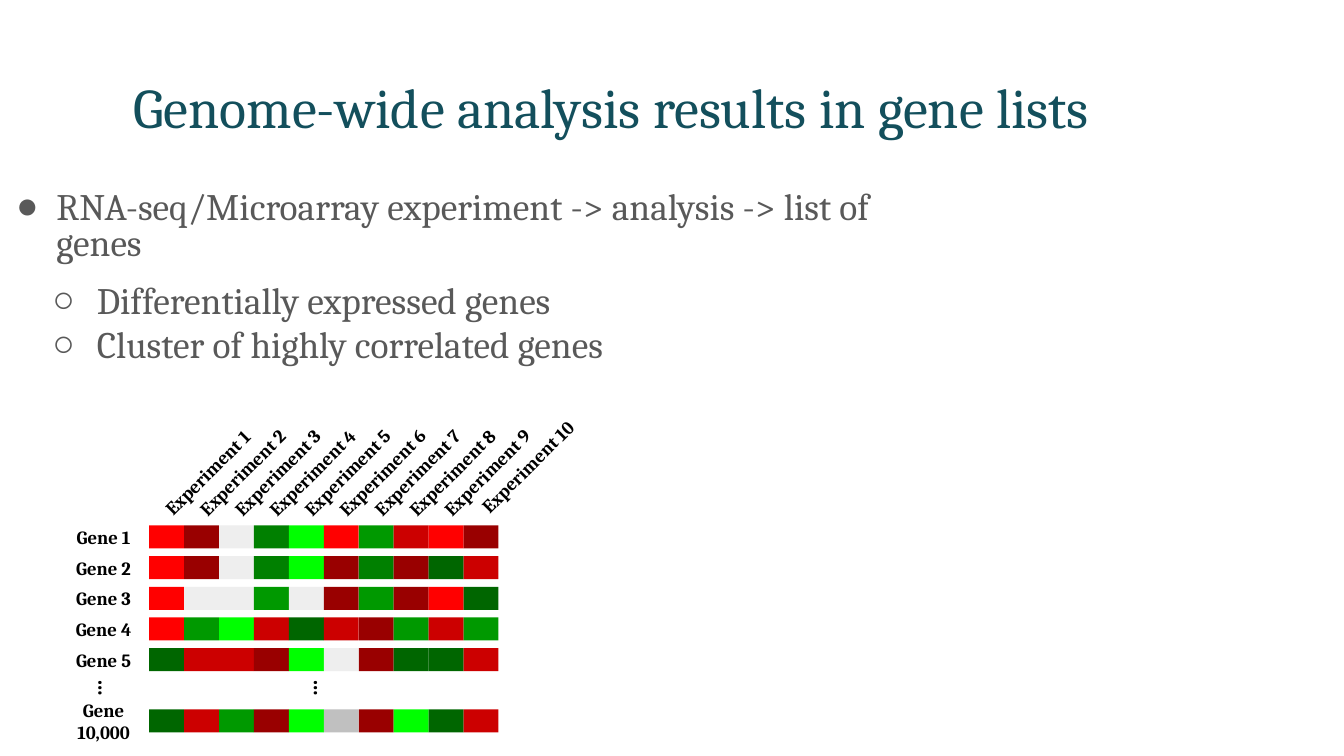
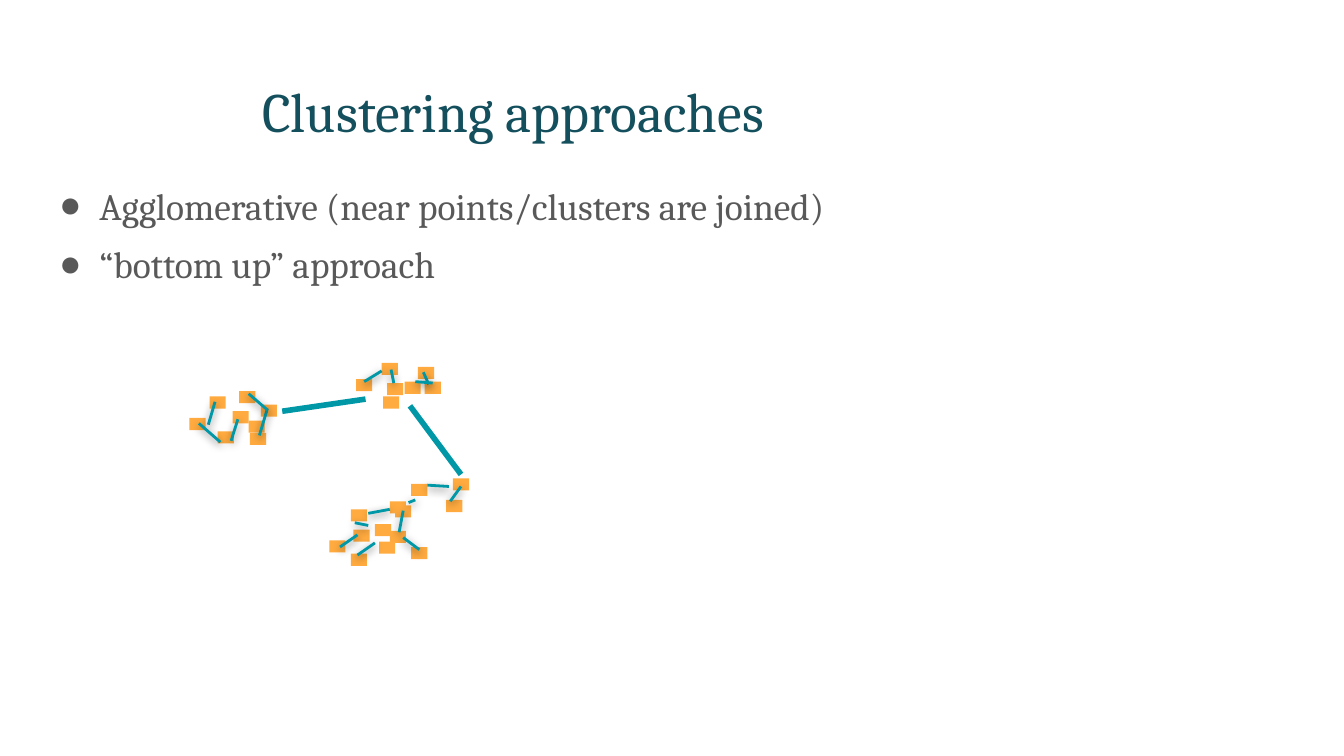
from dataclasses import dataclass
from math import cos, radians, sin

from lxml import etree
from pptx import Presentation
from pptx.dml.color import RGBColor
from pptx.enum.shapes import MSO_CONNECTOR, MSO_SHAPE
from pptx.enum.text import MSO_ANCHOR, MSO_AUTO_SIZE, PP_ALIGN
from pptx.oxml.ns import qn
from pptx.util import Emu, Inches, Pt

RECTANGLE = MSO_SHAPE.RECTANGLE
STRAIGHT = MSO_CONNECTOR.STRAIGHT
TOP, MIDDLE, BOTTOM = MSO_ANCHOR.TOP, MSO_ANCHOR.MIDDLE, MSO_ANCHOR.BOTTOM
LEFT, CENTER = PP_ALIGN.LEFT, PP_ALIGN.CENTER
NO_FIT = MSO_AUTO_SIZE.NONE

SLIDE_WIDTH = Inches(10)
SLIDE_HEIGHT = Emu(SLIDE_WIDTH * 9 // 16)
UNIT = SLIDE_WIDTH / 100  # one column or row of the slide grid
TITLE_AND_CONTENT = 1


@dataclass(frozen=True)
class Theme:
    font: str = "Cambria"
    title: str = "134F5C"
    body: str = "595959"
    label: str = "000000"
    point: str = "FFAB40"
    link: str = "0097A7"
    body_size: float = 20
    label_size: float = 10
    dots_size: float = 12
    thin: float = 1.5
    thick: float = 3


THEME = Theme()

# Expression levels: reds are up, greens are down
LEVELS = {
    "R": "FF0000", "C": "CC0000", "D": "990000",
    "L": "00FF00", "M": "009900", "N": "008000", "K": "006600",
    "E": "EEEEEE", "S": "C0C0C0",
}

# Grid row, gene and its level in each experiment
EXPRESSION = [
    (0, "Gene 1", "RDENLRMCRD"),
    (1, "Gene 2", "RDENLDNDKC"),
    (2, "Gene 3", "REEMEDMDRK"),
    (3, "Gene 4", "RMLCKCDMCM"),
    (4, "Gene 5", "KCCDLEDKKC"),
    (6, "Gene 10,000", "KCMDLSDLKC"),
]

# Corners of the points and ends of the links, in cells of the cluster grid
CLUSTER_GRID = (208, 151)
POINT_CELLS = (12, 9)
POINTS = [
    (15, 25), (37, 21), (32, 36), (0, 41), (21, 51), (53, 31), (45, 52), (44, 43),
    (124, 12), (144, 25), (147, 15), (143, 0), (160, 14), (175, 14), (170, 3),
    (120, 142), (104, 132), (122, 124), (141, 133), (120, 109), (138, 120),
    (153, 106), (196, 86), (149, 103), (165, 90), (149, 125), (191, 102), (165, 137),
]
NEAR_LINKS = [
    (19, 29, 14, 46), (7, 45, 23, 59), (36, 42, 31, 58), (52, 54, 58, 34),
    (44, 23, 58, 35), (143, 6, 130, 14), (150, 5, 152, 15), (174, 7, 178, 16),
    (181, 15, 168, 14), (168, 102, 163, 104), (193, 92, 177, 91),
    (202, 92, 194, 103), (133, 112, 149, 109), (156, 126, 159, 110),
    (171, 139, 159, 130), (133, 121, 123, 119), (138, 134, 125, 143),
    (125, 128, 112, 137),
]
CLUSTER_LINKS = [(131, 27, 69, 36), (164, 32, 202, 83)]


@dataclass(frozen=True)
class Box:
    left: float
    top: float
    width: float
    height: float

    def emu(self):
        return [Emu(round(v)) for v in (self.left, self.top, self.width, self.height)]


def grid_box(*units):
    return Box(*(unit * UNIT for unit in units))


def centred_box(x, y, width, height):
    return Box(x - width / 2, y - height / 2, width, height)


def apply(target, formats):
    for name, value in formats.items():
        setattr(target, name, value)


def style_run(run, size, color, bold=False):
    apply(run.font, {"name": THEME.font, "size": Pt(size), "bold": bold})
    run.font.color.rgb = RGBColor.from_string(color)


def place(placeholder, box):
    apply(placeholder, dict(zip(("left", "top", "width", "height"), box.emu())))


# Title and bullet list

def fill_title(slide, box, text, size):
    title = slide.shapes.title
    place(title, box)
    apply(title.text_frame, {"vertical_anchor": BOTTOM, "auto_size": NO_FIT,
                             "word_wrap": True})
    paragraph = title.text_frame.paragraphs[0]
    paragraph.alignment = CENTER
    run = paragraph.add_run()
    run.text = text
    style_run(run, size, THEME.title)


def set_bullet(paragraph, mark, margin, hanging):
    properties = paragraph._p.get_or_add_pPr()
    properties.set("marL", str(Inches(margin)))
    properties.set("indent", str(-Inches(hanging)))
    color = etree.SubElement(properties, qn("a:buClr"))
    etree.SubElement(color, qn("a:srgbClr"), val=THEME.body)
    etree.SubElement(properties, qn("a:buChar"), char=mark)


def fill_bullets(slide, box, bullets, line_spacing, top_inset=0.05):
    """Each bullet is text, level, hanging indent, space before, space after."""
    body = slide.placeholders[1]
    place(body, box)
    frame = body.text_frame
    apply(frame, {"vertical_anchor": TOP, "auto_size": NO_FIT, "word_wrap": True,
                  "margin_top": Inches(top_inset)})
    for index, (text, level, hanging, before, after) in enumerate(bullets):
        paragraph = frame.add_paragraph() if index else frame.paragraphs[0]
        apply(paragraph, {"level": level, "alignment": LEFT,
                          "line_spacing": line_spacing,
                          "space_before": Pt(before), "space_after": Pt(after)})
        set_bullet(paragraph, "●○"[level], 0.3 * (level + 1), hanging)
        run = paragraph.add_run()
        run.text = text
        style_run(run, THEME.body_size, THEME.body)


# Shared drawing parts

def add_block(shapes, box, color):
    block = shapes.add_shape(RECTANGLE, *box.emu())
    block.shadow.inherit = False
    block.fill.solid()
    block.fill.fore_color.rgb = RGBColor.from_string(color)
    block.line.fill.background()


def add_label(slide, box, text, rotation=0, size=THEME.label_size, anchor=MIDDLE,
              inset=(0, 0)):
    label = slide.shapes.add_textbox(*box.emu())
    label.rotation = rotation
    side, edge = (Inches(value) for value in inset)
    apply(label.text_frame, {"word_wrap": True, "vertical_anchor": anchor,
                             "margin_left": side, "margin_right": side,
                             "margin_top": edge, "margin_bottom": edge})
    paragraph = label.text_frame.paragraphs[0]
    paragraph.alignment = CENTER
    run = paragraph.add_run()
    run.text = text
    style_run(run, size, THEME.label, bold=True)


def add_link(shapes, ends, width, shadowed):
    link = shapes.add_connector(STRAIGHT, *(Emu(round(end)) for end in ends))
    link.line.color.rgb = RGBColor.from_string(THEME.link)
    link.line.width = Pt(width)
    effects = etree.SubElement(link._element.spPr, qn("a:effectLst"))
    if shadowed:
        shadow = etree.SubElement(
            effects, qn("a:outerShdw"), blurRad=str(Pt(4.5)), dist=str(Pt(1.5)),
            dir="5400000", algn="bl", rotWithShape="0")
        color = etree.SubElement(shadow, qn("a:srgbClr"), val="000000")
        etree.SubElement(color, qn("a:alpha"), val="50000")


# Heat map of genes by experiments

def draw_heat_map(slide, box):
    column = box.width / 10
    row = box.height / 6.75  # seven rows, the last without its gap
    cell_height = 0.75 * row

    # Slanted experiment labels start just above their columns
    slope = radians(45)
    for index in range(10):
        length = (4 if index < 9 else 4.46) * column
        x = box.left + (index + 0.25) * column + length / 2 * cos(slope)
        y = box.top - 0.12 * row - length / 2 * sin(slope)
        add_label(slide, centred_box(x, y, length, cell_height),
                  f"Experiment {index + 1}", rotation=315)

    # Gene rows
    for position, gene, levels in EXPRESSION:
        top = box.top + position * row
        add_label(slide, Box(box.left - 2.48 * column, top, 2.35 * column,
                             cell_height), gene)
        for index, level in enumerate(levels):
            add_block(slide.shapes, Box(box.left + index * column, top, column,
                                        cell_height), LEVELS[level])

    # Dots for the genes left out
    for columns in (-1.2, 4.97):
        dots = centred_box(box.left + columns * column, box.top + 5.3 * row,
                           1.4 * column, 1.31 * row)
        add_label(slide, dots, "…", rotation=90, size=THEME.dots_size,
                  anchor=TOP, inset=(0.1, 0.05))


# Points joined into clusters

def draw_clusters(slide, box):
    column, row = box.width / CLUSTER_GRID[0], box.height / CLUSTER_GRID[1]

    def ends(link):
        x1, y1, x2, y2 = link
        return (box.left + x1 * column, box.top + y1 * row,
                box.left + x2 * column, box.top + y2 * row)

    points = slide.shapes.add_group_shape().shapes
    for x, y in POINTS:
        add_block(points, Box(box.left + x * column, box.top + y * row,
                              POINT_CELLS[0] * column, POINT_CELLS[1] * row),
                  THEME.point)
    near_links = slide.shapes.add_group_shape().shapes
    for link in NEAR_LINKS:
        add_link(near_links, ends(link), THEME.thin, shadowed=True)
    for link in CLUSTER_LINKS:
        add_link(slide.shapes, ends(link), THEME.thick, shadowed=False)


# Slides

def build_gene_lists(slide):
    fill_title(slide, grid_box(-1.1, 4.6, 93.2, 6.3),
               "Genome-wide analysis results in gene lists", 30)
    fill_bullets(slide, grid_box(0.2, 9.4, 66, 37.4), [
        ("RNA-seq/Microarray experiment -> analysis -> list of genes", 0, 0.31, 0, 0),
        ("Differentially expressed genes", 1, 0.33, 11.8, 0),
        ("Cluster of highly correlated genes", 1, 0.33, 4.4, 0),
    ], line_spacing=0.8, top_inset=0.49)
    draw_heat_map(slide, grid_box(11.1, 39.1, 26, 15.4))


def build_clustering(slide):
    fill_title(slide, grid_box(-8.4, 4.9, 93.2, 6.3), "Clustering approaches", 29.7)
    fill_bullets(slide, grid_box(3.4, 12.6, 81.4, 37.4), [
        ("Agglomerative (near points/clusters are joined)", 0, 0.33, 0, 0),
        ("“bottom up” approach", 0, 0.33, 3.6, 16),
    ], line_spacing=1.15)
    draw_clusters(slide, grid_box(14.1, 27, 20.8, 15.1))


def main():
    deck = Presentation()
    apply(deck, {"slide_width": SLIDE_WIDTH, "slide_height": SLIDE_HEIGHT})
    for build in (build_gene_lists, build_clustering):
        build(deck.slides.add_slide(deck.slide_layouts[TITLE_AND_CONTENT]))
    deck.save("out.pptx")


if __name__ == "__main__":
    main()
